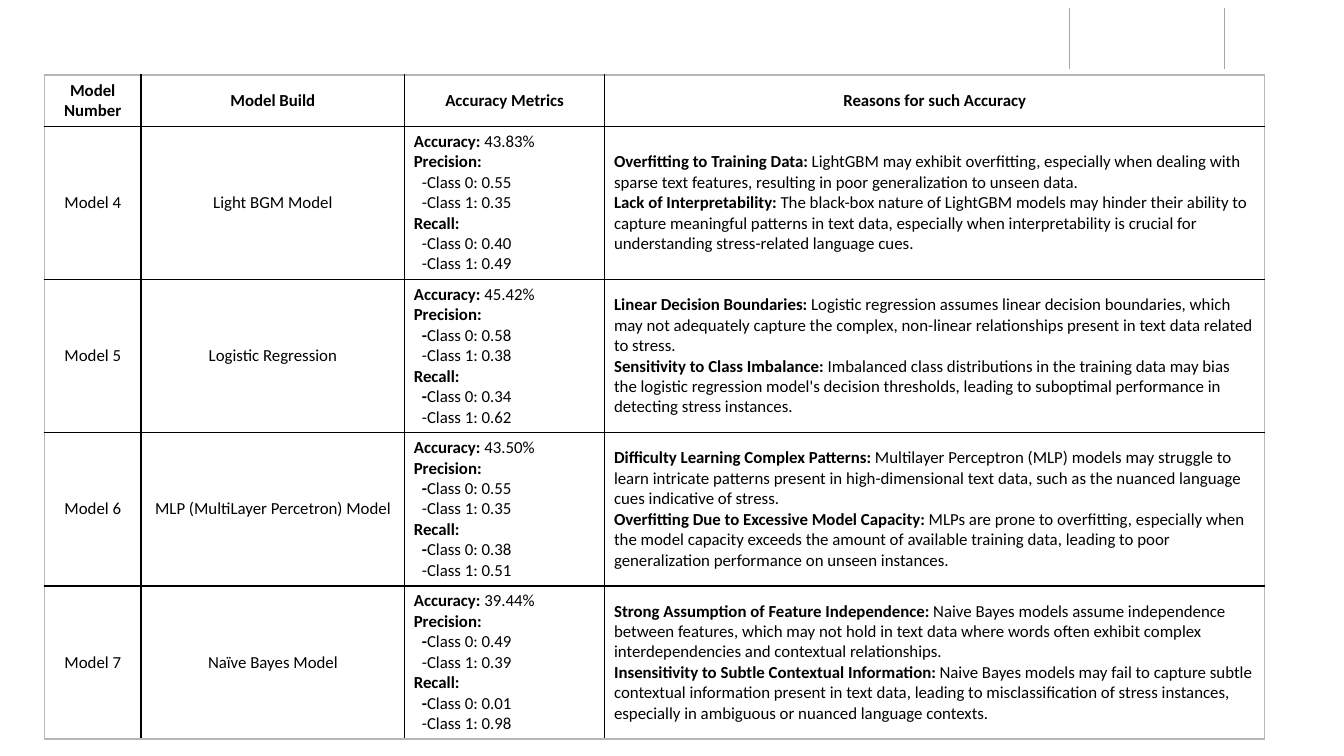
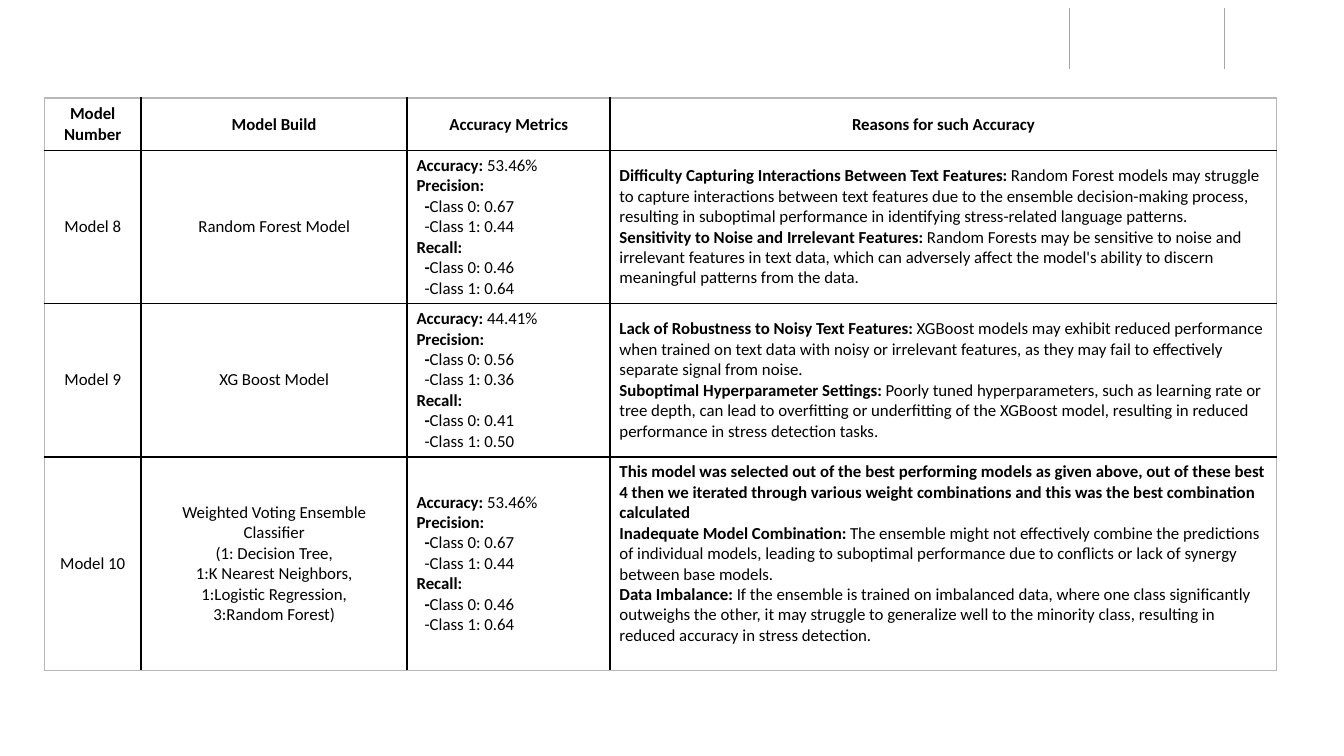
from dataclasses import dataclass

from lxml import etree
from pptx import Presentation
from pptx import util as u
from pptx.dml.color import RGBColor
from pptx.enum import shapes, text
from pptx.oxml import ns

COLORS = {"ink": "000000", "frame": "B7B7B7", "rule": "A6A6A6"}
BODY_FONT = {"name": "Calibri", "size": u.Pt(9)}
CELL_FORMAT = {
    "vertical_anchor": text.MSO_ANCHOR.MIDDLE,
    "margin_left": u.Inches(0.07),
    "margin_right": u.Inches(0.07),
    "margin_top": u.Inches(0.07) // 2,
    "margin_bottom": u.Inches(0.07) // 2,
}
TABLE_FORMAT = {"first_row": False, "horz_banding": False}
SLIDE_WIDTH = u.Inches(10)
SLIDE_HEIGHT = SLIDE_WIDTH * 9 // 16
CLASS_INDENT = u.Inches(0.06)
HEADINGS = ["Model Number", "Model Build", "Accuracy Metrics", "Reasons for such Accuracy"]


@dataclass
class Model:
    number: int
    build: list
    accuracy: str
    precision: tuple
    recall: tuple
    reasons: list
    bold_dash: bool = True
    bottom_margin: float = 0

    def metrics(self):
        lines = [("Accuracy: ", self.accuracy)]
        for heading, scores in (("Precision:", self.precision), ("Recall:", self.recall)):
            lines.append((heading, ""))
            for label, score in enumerate(scores):
                entry = f"Class {label}: {score}"
                bold = self.bold_dash and label == 0
                lines.append(("-", entry) if bold else ("", "-" + entry))
        return lines


FIRST_MODELS = [
    Model(4, ["Light BGM Model"], "43.83%", ("0.55", "0.35"), ("0.40", "0.49"), [
        ("Overfitting to Training Data: ",
         "LightGBM may exhibit overfitting, especially when dealing with sparse text features, "
         "resulting in poor generalization to unseen data."),
        ("Lack of Interpretability: ",
         "The black-box nature of LightGBM models may hinder their ability to capture meaningful "
         "patterns in text data, especially when interpretability is crucial for understanding "
         "stress-related language cues."),
    ], bold_dash=False),
    Model(5, ["Logistic Regression"], "45.42%", ("0.58", "0.38"), ("0.34", "0.62"), [
        ("Linear Decision Boundaries: ",
         "Logistic regression assumes linear decision boundaries, which may not adequately capture "
         "the complex, non-linear relationships present in text data related to stress."),
        ("Sensitivity to Class Imbalance: ",
         "Imbalanced class distributions in the training data may bias the logistic regression "
         "model's decision thresholds, leading to suboptimal performance in detecting stress "
         "instances."),
    ]),
    Model(6, ["MLP (MultiLayer Percetron) Model"], "43.50%", ("0.55", "0.35"), ("0.38", "0.51"), [
        ("Difficulty Learning Complex Patterns: ",
         "Multilayer Perceptron (MLP) models may struggle to learn intricate patterns present in "
         "high-dimensional text data, such as the nuanced language cues indicative of stress."),
        ("Overfitting Due to Excessive Model Capacity: ",
         "MLPs are prone to overfitting, especially when the model capacity exceeds the amount of "
         "available training data, leading to poor generalization performance on unseen "
         "instances."),
    ]),
    Model(7, ["Naïve Bayes Model"], "39.44%", ("0.49", "0.39"), ("0.01", "0.98"), [
        ("Strong Assumption of Feature Independence: ",
         "Naive Bayes models assume independence between features, which may not hold in text data "
         "where words often exhibit complex interdependencies and contextual relationships."),
        ("Insensitivity to Subtle Contextual Information: ",
         "Naive Bayes models may fail to capture subtle contextual information present in text "
         "data, leading to misclassification of stress instances, especially in ambiguous or "
         "nuanced language contexts."),
    ]),
]

LAST_MODELS = [
    Model(8, ["Random Forest Model"], "53.46%", ("0.67", "0.44"), ("0.46", "0.64"), [
        ("Difficulty Capturing Interactions Between Text Features: ",
         "Random Forest models may struggle to capture interactions between text features due to "
         "the ensemble decision-making process, resulting in suboptimal performance in identifying "
         "stress-related language patterns."),
        ("Sensitivity to Noise and Irrelevant Features: ",
         "Random Forests may be sensitive to noise and irrelevant features in text data, which can "
         "adversely affect the model's ability to discern meaningful patterns from the data."),
    ]),
    Model(9, ["XG Boost Model"], "44.41%", ("0.56", "0.36"), ("0.41", "0.50"), [
        ("Lack of Robustness to Noisy Text Features: ",
         "XGBoost models may exhibit reduced performance when trained on text data with noisy or "
         "irrelevant features, as they may fail to effectively separate signal from noise."),
        ("Suboptimal Hyperparameter Settings: ",
         "Poorly tuned hyperparameters, such as learning rate or tree depth, can lead to "
         "overfitting or underfitting of the XGBoost model, resulting in reduced performance in "
         "stress detection tasks."),
    ]),
    Model(10, ["Weighted Voting Ensemble Classifier", "(1: Decision Tree,",
               "1:K Nearest Neighbors,", "1:Logistic Regression,", "3:Random Forest)"],
          "53.46%", ("0.67", "0.44"), ("0.46", "0.64"), [
        ("This model was selected out of the best performing models as given above, out of these "
         "best 4 then we iterated through various weight combinations and this was the best "
         "combination calculated", ""),
        ("Inadequate Model Combination: ",
         "The ensemble might not effectively combine the predictions of individual models, leading "
         "to suboptimal performance due to conflicts or lack of synergy between base models."),
        ("Data Imbalance: ",
         "If the ensemble is trained on imbalanced data, where one class significantly outweighs "
         "the other, it may struggle to generalize well to the minority class, resulting in "
         "reduced accuracy in stress detection."),
    ], bottom_margin=0.18),
]


def apply_format(target, values):
    for name, value in values.items():
        setattr(target, name, value)


class ModelDeck:
    def __init__(self):
        self.presentation = Presentation()
        self.presentation.slide_width = SLIDE_WIDTH
        self.presentation.slide_height = SLIDE_HEIGHT
        self.slide = None

    def add_slide(self):
        self.slide = self.presentation.slides.add_slide(self.presentation.slide_layouts[6])
        for left in (7.96, 9.11):
            self.add_rule(left, 0.06, 0.51)

    def add_rule(self, left, top, bottom):
        rule = self.slide.shapes.add_connector(
            shapes.MSO_CONNECTOR.STRAIGHT,
            u.Inches(left), u.Inches(top), u.Inches(left), u.Inches(bottom))
        rule.line.color.rgb = RGBColor.from_string(COLORS["rule"])
        rule.line.width = u.Pt(0.75)
        etree.SubElement(rule.element.spPr, ns.qn("a:effectLst"))

    def add_border(self, cell, side, color):
        line = etree.SubElement(cell._tc.get_or_add_tcPr(), ns.qn(f"a:ln{side}"), w=str(u.Pt(1)))
        fill = etree.SubElement(line, ns.qn("a:solidFill"))
        etree.SubElement(fill, ns.qn("a:srgbClr"), val=COLORS[color])

    def write_cell(self, cell, lines, centered=True):
        frame = cell.text_frame
        for index, parts in enumerate(lines):
            paragraph = frame.paragraphs[0] if index == 0 else frame.add_paragraph()
            paragraph.alignment = text.PP_ALIGN.CENTER if centered else text.PP_ALIGN.LEFT
            if "".join(parts).startswith("-"):
                paragraph._p.get_or_add_pPr().set("marL", str(CLASS_INDENT))
            for words, bold in zip(parts, (True, False)):
                if words:
                    run = paragraph.add_run()
                    run.text = words
                    apply_format(run.font, {**BODY_FONT, "bold": bold})
                    run.font.color.rgb = RGBColor.from_string(COLORS["ink"])

    def add_model_table(self, models, top, widths, heights):
        columns, rows = len(widths), len(heights)
        table = self.slide.shapes.add_table(
            rows, columns, u.Inches(0.33), u.Inches(top),
            u.Inches(sum(widths)), u.Inches(sum(heights))).table
        apply_format(table, TABLE_FORMAT)
        for column, width in zip(table.columns, widths):
            column.width = u.Inches(width)
        for row, height in zip(table.rows, heights):
            row.height = u.Inches(height)
        for row in range(rows):
            for column in range(columns):
                cell = table.cell(row, column)
                apply_format(cell, CELL_FORMAT)
                outer = {"L": column == 0, "R": column == columns - 1,
                         "T": row == 0, "B": row == rows - 1}
                for side, is_outer in outer.items():
                    self.add_border(cell, side, "frame" if is_outer else "ink")
                cell.fill.background()
        for column, heading in enumerate(HEADINGS):
            self.write_cell(table.cell(0, column), [(heading, "")])
        for row, model in enumerate(models, start=1):
            self.write_cell(table.cell(row, 0), [("", f"Model {model.number}")])
            self.write_cell(table.cell(row, 1), [("", line) for line in model.build])
            self.write_cell(table.cell(row, 2), model.metrics(), centered=False)
            self.write_cell(table.cell(row, 3), model.reasons, centered=False)
            if model.bottom_margin:
                table.cell(row, 3).margin_bottom = u.Inches(model.bottom_margin)


def main():
    deck = ModelDeck()
    deck.add_slide()
    deck.add_model_table(FIRST_MODELS, 0.56, [0.72, 1.96, 1.49, 4.91], [0.38] + [1.14] * 4)
    deck.add_slide()
    deck.add_model_table(LAST_MODELS, 0.73, [0.72, 1.98, 1.51, 4.96], [0.39, 1.14, 1.14, 1.59])
    deck.presentation.save("out.pptx")


if __name__ == "__main__":
    main()
